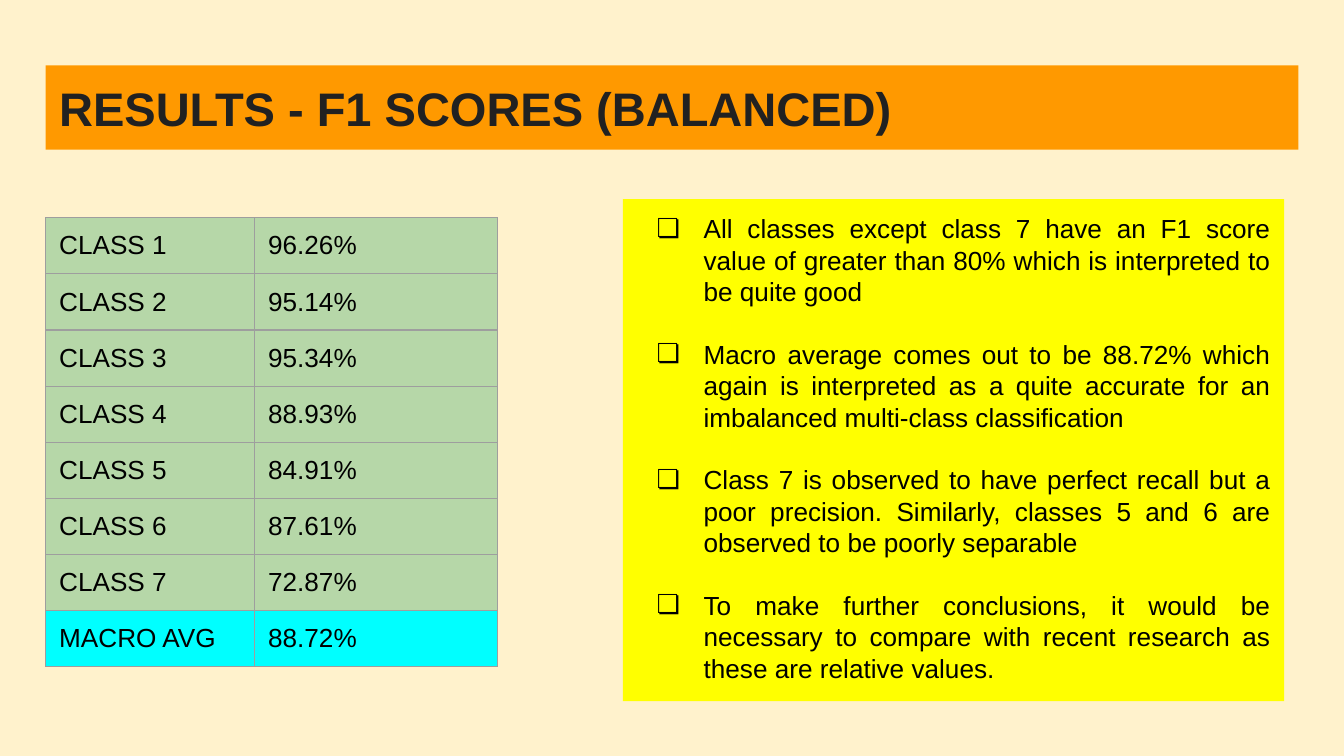
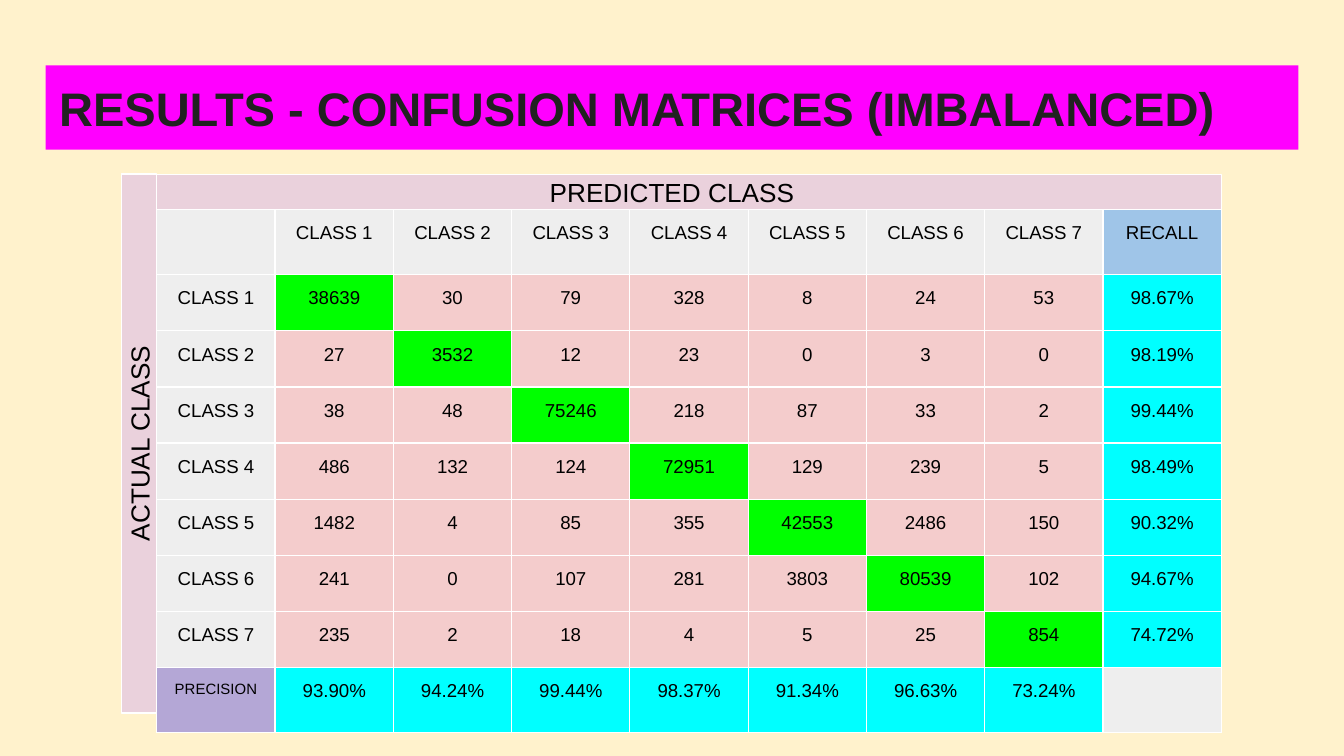
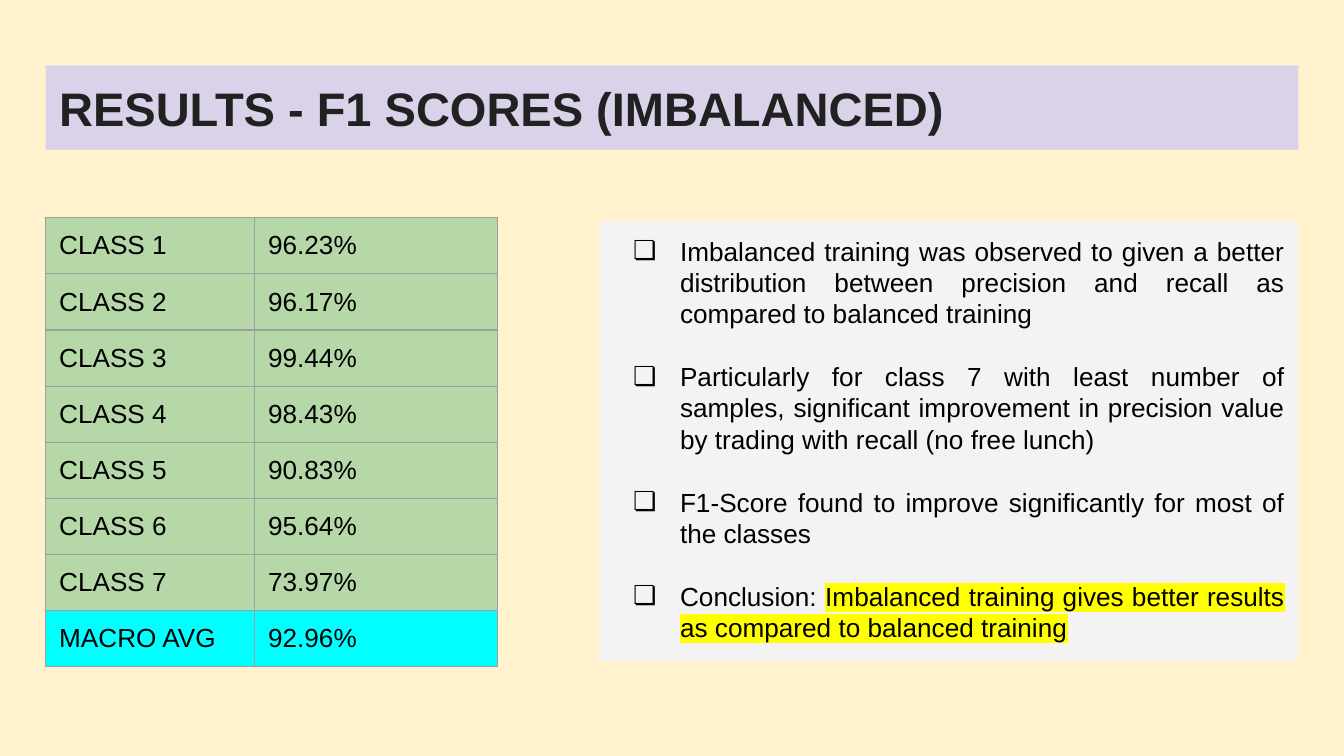
"""Build three slides on classification results: F1 scores and a confusion matrix."""
from dataclasses import dataclass
from typing import Callable, NamedTuple

from lxml.etree import SubElement
from pptx import Presentation
from pptx.dml.color import RGBColor
from pptx.enum.shapes import MSO_SHAPE as Shape
from pptx.enum.text import MSO_ANCHOR as Anchor, MSO_AUTO_SIZE as AutoSize, PP_ALIGN as Align
from pptx.oxml.ns import qn
from pptx.util import Inches, Pt


@dataclass(frozen=True)
class Theme:
    """Colours, type sizes and spacing shared by the slides."""
    font: str = "Arial"
    background: str = "FFF2CC"
    ink: str = "000000"
    title_ink: str = "212121"
    score: str = "B6D7A8"
    summary: str = "00FFFF"
    header: str = "EEEEEE"
    recall: str = "9FC5E8"
    precision: str = "B4A7D6"
    hit: str = "00FF00"
    miss: str = "F4CCCC"
    axis: str = "EAD1DC"
    highlight: str = "FFFF00"
    score_border: str = "9E9E9E"
    matrix_border: str = "FFFFFF"
    title_size: float = 25.2
    text_size: float = 14
    matrix_size: float = 10
    small_size: float = 8
    border_width: float = 0.75
    inset: float = 0.1
    cell_bottom: float = 0.08
    line_spacing: float = 1.0
    note_gap: float = 16.8
    note_indent: float = 0.5
    note_hanging: float = 0.35


class Box(NamedTuple):
    """Place on the slide, in percent of its width and height."""
    left: float
    top: float
    width: float
    height: float


class Note(NamedTuple):
    """One list item, with an optional highlighted ending."""
    text: str
    highlighted: str = ""


class CellLook(NamedTuple):
    """Fill and type size of a table cell."""
    fill: str
    size: float


class AxisLabel(NamedTuple):
    """A bar naming one axis of the matrix."""
    text: str
    box: Box
    rotation: float


class ScoreSlide(NamedTuple):
    """A slide with F1 scores beside remarks on them."""
    title: str
    band: str
    scores: tuple[str, ...]
    panel: str
    panel_box: Box
    notes: tuple[Note, ...]


THEME = Theme()
WIDTH, HEIGHT = Inches(10), Inches(5.625)
TITLE_BOX = Box(3.4, 8.65, 93.2, 11.15)
ROW_SHARE = 7.43
SCORE_ORIGIN, SCORE_COLUMNS = (3.4, 28.8), (15.55, 18.05)
MATRIX_ORIGIN, MATRIX_COLUMN = (11.67, 27.7), 8.8
TITLE_AND_BODY, TITLE_ONLY = 1, 5

CLASSES = tuple(f"CLASS {number}" for number in range(1, 8))
COUNTS = (
    (38639, 30, 79, 328, 8, 24, 53),
    (27, 3532, 12, 23, 0, 3, 0),
    (38, 48, 75246, 218, 87, 33, 2),
    (486, 132, 124, 72951, 129, 239, 5),
    (1482, 4, 85, 355, 42553, 2486, 150),
    (241, 0, 107, 281, 3803, 80539, 102),
    (235, 2, 18, 4, 5, 25, 854),
)
RECALL = ("98.67%", "98.19%", "99.44%", "98.49%", "90.32%", "94.67%", "74.72%")
PRECISION = ("93.90%", "94.24%", "99.44%", "98.37%", "91.34%", "96.63%", "73.24%")
AXES = (
    AxisLabel("PREDICTED CLASS", Box(9.1, 23.1, 81.8, 4.62), 0),
    AxisLabel("ACTUAL CLASS", Box(-9.7, 56.35, 40.1, 4.62), 270),
)

BALANCED = ScoreSlide(
    "RESULTS - F1 SCORES (BALANCED)", "FF9900",
    ("96.26%", "95.14%", "95.34%", "88.93%", "84.91%", "87.61%", "72.87%", "88.72%"),
    "FFFF00", Box(46.35, 26.35, 49.2, 66.4),
    (
        Note("All classes except class 7 have an F1 score value of greater than 80% "
             "which is interpreted to be quite good"),
        Note("Macro average comes out to be 88.72% which again is interpreted as a quite "
             "accurate for an imbalanced multi-class classification"),
        Note("Class 7 is observed to have perfect recall but a poor precision. Similarly, "
             "classes 5 and 6 are observed to be poorly separable"),
        Note("To make further conclusions, it would be necessary to compare with recent "
             "research as these are relative values."),
    ),
)
IMBALANCED = ScoreSlide(
    "RESULTS - F1 SCORES (IMBALANCED)", "D9D2E9",
    ("96.23%", "96.17%", "99.44%", "98.43%", "90.83%", "95.64%", "73.97%", "92.96%"),
    "F3F3F3", Box(44.6, 29.3, 52, 58.1),
    (
        Note("Imbalanced training was observed to given a better distribution between "
             "precision and recall as compared to balanced training"),
        Note("Particularly for class 7 with least number of samples, significant improvement "
             "in precision value by trading with recall (no free lunch)"),
        Note("F1-Score found to improve significantly for most of the classes"),
        Note("Conclusion: ",
             "Imbalanced training gives better results as compared to balanced training"),
    ),
)


def across(share: float) -> int:
    """Turn a percentage of the slide width into a length."""
    return round(WIDTH * share / 100)


def down(share: float) -> int:
    """Turn a percentage of the slide height into a length."""
    return round(HEIGHT * share / 100)


def lengths(box: Box) -> tuple[int, int, int, int]:
    """Give left, top, width and height as lengths."""
    return across(box.left), down(box.top), across(box.width), down(box.height)


def paint(target, colour: str) -> None:
    """Give a fill one solid colour."""
    target.solid()
    target.fore_color.rgb = RGBColor.from_string(colour)


def style_runs(paragraph, size: float, colour: str = THEME.ink, bold: bool = False) -> None:
    """Format every run of a paragraph."""
    for run in paragraph.runs:
        run.font.name, run.font.size, run.font.bold = THEME.font, Pt(size), bold
        run.font.color.rgb = RGBColor.from_string(colour)


def pad(holder, bottom: float = THEME.inset) -> None:
    """Set the margins of a text frame or a cell."""
    holder.margin_left = holder.margin_right = holder.margin_top = Inches(THEME.inset)
    holder.margin_bottom = Inches(bottom)


def fill_panel(placeholder, box: Box, colour: str, anchor: Anchor):
    """Move and colour a placeholder, and return its text frame."""
    placeholder.left, placeholder.top, placeholder.width, placeholder.height = lengths(box)
    paint(placeholder.fill, colour)
    frame = placeholder.text_frame
    pad(frame)
    frame.word_wrap, frame.vertical_anchor, frame.auto_size = True, anchor, AutoSize.NONE
    return frame


def add_titled_slide(deck, layout: int, title: str, band: str):
    """Add a slide with its title band."""
    slide = deck.slides.add_slide(deck.slide_layouts[layout])
    frame = fill_panel(slide.shapes.title, TITLE_BOX, band, Anchor.MIDDLE)
    frame.text = title
    heading = frame.paragraphs[0]
    heading.alignment = Align.LEFT
    style_runs(heading, THEME.title_size, THEME.title_ink, bold=True)
    return slide


def add_bullet(paragraph) -> None:
    """Give a paragraph a hanging box bullet."""
    properties = paragraph._p.get_or_add_pPr()
    properties.set("marL", str(Inches(THEME.note_indent)))
    properties.set("indent", str(-Inches(THEME.note_hanging)))
    bullet_colour = SubElement(properties, qn("a:buClr"))
    SubElement(bullet_colour, qn("a:srgbClr"), val=THEME.ink)
    SubElement(properties, qn("a:buChar"), char="❏")


def highlight(run) -> None:
    """Mark a coloured run with the highlight colour."""
    marker = SubElement(run.font._element, qn("a:highlight"))
    SubElement(marker, qn("a:srgbClr"), val=THEME.highlight)
    run.font._element.find(qn("a:solidFill")).addnext(marker)


def write_notes(frame, notes: tuple[Note, ...]) -> None:
    """Write the remarks as a justified list."""
    for index, note in enumerate(notes):
        item = frame.add_paragraph() if index else frame.paragraphs[0]
        item.text = note.text
        if note.highlighted:
            item.add_run().text = note.highlighted
        style_runs(item, THEME.text_size)
        if note.highlighted:
            highlight(item.runs[-1])
        item.alignment = Align.JUSTIFY
        item.line_spacing = THEME.line_spacing
        item.space_before = Pt(THEME.note_gap if index else 0)
        item.space_after = Pt(0)
        add_bullet(item)


def border(cell, colour: str) -> None:
    """Draw the four edges of a cell."""
    properties = cell._tc.get_or_add_tcPr()
    for edge in ("lnL", "lnR", "lnT", "lnB"):
        line = SubElement(properties, qn(f"a:{edge}"), w=str(Pt(THEME.border_width)))
        SubElement(SubElement(line, qn("a:solidFill")), qn("a:srgbClr"), val=colour)


def add_grid(slide, origin: tuple[float, float], columns: tuple[float, ...], rows: list[tuple],
             edge: str, align: Align, look: Callable[[int, int], CellLook]) -> None:
    """Add a table whose cell looks follow a rule of row and column."""
    box = Box(*origin, sum(columns), ROW_SHARE * len(rows))
    table = slide.shapes.add_table(len(rows), len(columns), *lengths(box)).table
    table.first_row = table.horz_banding = False
    for column, share in zip(table.columns, columns):
        column.width = across(share)
    for row_index, values in enumerate(rows):
        table.rows[row_index].height = down(ROW_SHARE)
        for column_index, value in enumerate(values):
            cell = table.cell(row_index, column_index)
            cell_look = look(row_index, column_index)
            pad(cell, THEME.cell_bottom)
            border(cell, edge)
            paint(cell.fill, cell_look.fill)
            if value != "":
                entry = cell.text_frame.paragraphs[0]
                entry.text = str(value)
                entry.alignment = align
                style_runs(entry, cell_look.size)


def score_look(row: int, column: int) -> CellLook:
    """Set the average apart from the class scores."""
    return CellLook(THEME.score if row < len(CLASSES) else THEME.summary, THEME.text_size)


def matrix_look(row: int, column: int) -> CellLook:
    """Colour headers, hits, misses and summary cells of the matrix."""
    last = len(CLASSES) + 1
    if (row, column) == (last, 0):
        return CellLook(THEME.precision, THEME.small_size)
    if (row, column) == (0, last):
        colour = THEME.recall
    elif row == 0 or column == 0 or row == column == last:
        colour = THEME.header
    elif last in (row, column):
        colour = THEME.summary
    else:
        colour = THEME.hit if row == column else THEME.miss
    return CellLook(colour, THEME.matrix_size)


def add_axis(slide, axis: AxisLabel) -> None:
    """Add the bar that names a matrix axis."""
    bar = slide.shapes.add_shape(Shape.RECTANGLE, *lengths(axis.box))
    bar.rotation = axis.rotation
    bar.shadow.inherit = False
    paint(bar.fill, THEME.axis)
    paint(bar.line.fill, THEME.matrix_border)
    bar.line.width = Pt(THEME.border_width)
    frame = bar.text_frame
    pad(frame)
    frame.vertical_anchor = Anchor.MIDDLE
    frame.text = axis.text
    frame.paragraphs[0].alignment = Align.CENTER
    style_runs(frame.paragraphs[0], THEME.text_size)


def add_score_slide(deck, content: ScoreSlide) -> None:
    """Add a score table with its remarks."""
    slide = add_titled_slide(deck, TITLE_AND_BODY, content.title, content.band)
    rows = list(zip((*CLASSES, "MACRO AVG"), content.scores))
    add_grid(slide, SCORE_ORIGIN, SCORE_COLUMNS, rows, THEME.score_border, Align.LEFT, score_look)
    frame = fill_panel(slide.placeholders[1], content.panel_box, content.panel, Anchor.TOP)
    write_notes(frame, content.notes)


def add_matrix_slide(deck) -> None:
    """Add the confusion matrix with its axes."""
    slide = add_titled_slide(deck, TITLE_ONLY, "RESULTS - CONFUSION MATRICES (IMBALANCED)", "FF00FF")
    rows = [
        ("", *CLASSES, "RECALL"),
        *((name, *counts, recall) for name, counts, recall in zip(CLASSES, COUNTS, RECALL)),
        ("PRECISION", *PRECISION, ""),
    ]
    columns = (MATRIX_COLUMN,) * len(rows[0])
    add_grid(slide, MATRIX_ORIGIN, columns, rows, THEME.matrix_border, Align.CENTER, matrix_look)
    for axis in AXES:
        add_axis(slide, axis)


def main() -> None:
    """Build and save the deck."""
    deck = Presentation()
    deck.slide_width, deck.slide_height = WIDTH, HEIGHT
    paint(deck.slide_master.background.fill, THEME.background)
    add_score_slide(deck, BALANCED)
    add_matrix_slide(deck)
    add_score_slide(deck, IMBALANCED)
    deck.save("out.pptx")


if __name__ == "__main__":
    main()
